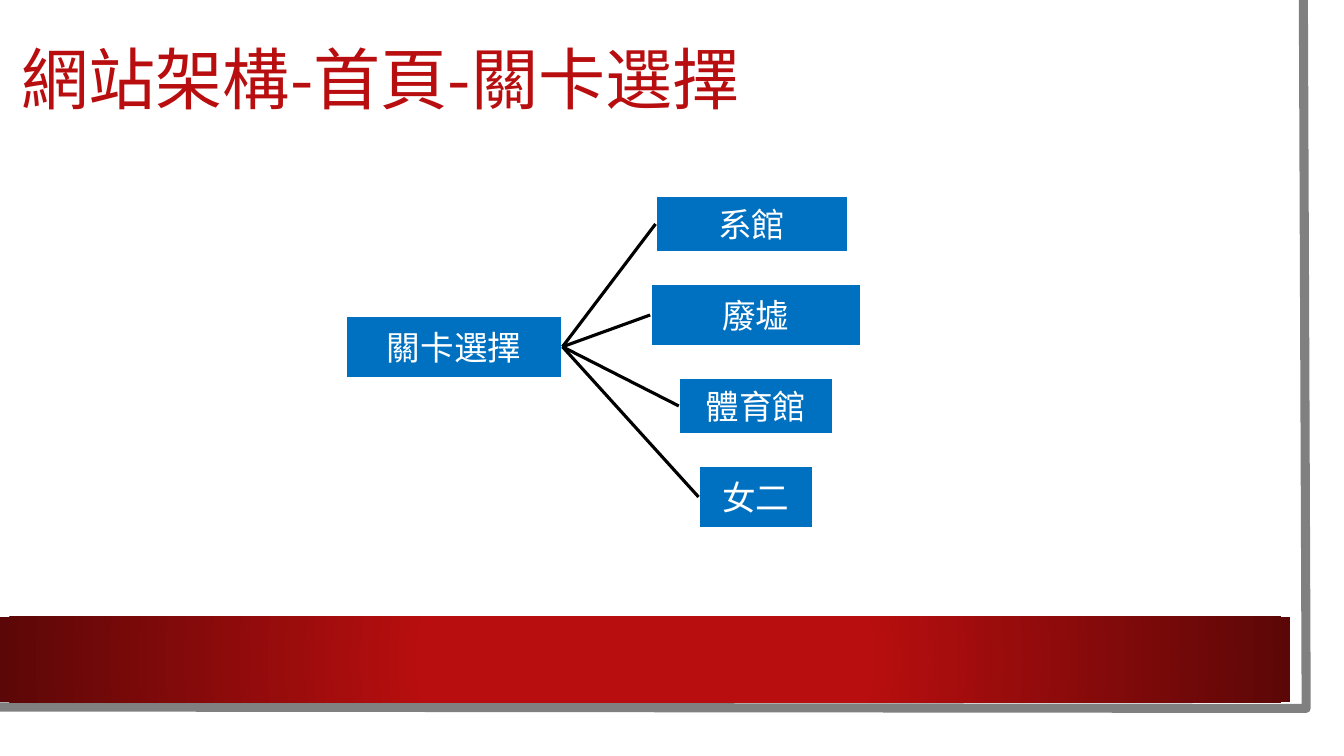
from lxml import etree
from pptx import Presentation
from pptx import util as u
from pptx.dml.color import RGBColor
from pptx.enum import shapes, text
from pptx.oxml import parse_xml
from pptx.oxml.ns import nsdecls, qn

LEFT_SITE, RIGHT_SITE = 1, 3


def colour(value):
    """Turn a hex string into a colour."""
    return RGBColor.from_string(value)


class SiteMap:
    """Holds the style and the current slide, and draws each kind of element."""

    font = "Noto Sans CJK SC"
    red, dark_red = "B80E0F", "5C0707"
    blue, white, grey, black = "0070C0", "FFFFFF", "808080", "000000"

    def __init__(self, page):
        """Keep the slide to draw on."""
        self.page = page

    def label(self, frame, words, size, ink, align):
        """Fill a text frame with one styled paragraph."""
        frame.text = words
        frame.word_wrap = True
        frame.auto_size = text.MSO_AUTO_SIZE.NONE
        frame.vertical_anchor = text.MSO_ANCHOR.MIDDLE
        para = frame.paragraphs[0]
        para.alignment = align
        for span in para.runs:
            span.font.size = u.Pt(size)
            span.font.color.rgb = colour(ink)
            span.font.name = self.font
            asian = etree.SubElement(span.font._element, qn("a:ea"))
            asian.set("typeface", self.font)
        return para

    def title(self, words, left, top, width, height):
        """Place the title above the backdrop."""
        box = self.page.shapes.title
        box.left, box.top = u.Pt(left), u.Pt(top)
        box.width, box.height = u.Pt(width), u.Pt(height)
        para = self.label(box.text_frame, words, 48, self.red, text.PP_ALIGN.LEFT)
        para.line_spacing = 0.9
        box.element.getparent().append(box.element)

    def block(self, left, top, width, height, fill,
              kind=shapes.MSO_SHAPE.RECTANGLE):
        """Add a plain filled shape without outline."""
        box = self.page.shapes.add_shape(
            kind, u.Pt(left), u.Pt(top), u.Pt(width), u.Pt(height))
        box.shadow.inherit = False
        box.fill.solid()
        box.fill.fore_color.rgb = colour(fill)
        box.line.fill.background()
        return box

    def band(self, left, top, width, height):
        """Add a band that darkens from its centre to its ends."""
        box = self.block(left, top, width, height, self.red)
        solid = box.element.spPr.find(qn("a:solidFill"))
        glow = parse_xml(
            f'<a:gradFill {nsdecls("a")} rotWithShape="1"><a:gsLst>'
            f'<a:gs pos="34000"><a:srgbClr val="{self.red}"/></a:gs>'
            f'<a:gs pos="100000"><a:srgbClr val="{self.dark_red}"/></a:gs>'
            '</a:gsLst><a:path path="circle">'
            '<a:fillToRect l="50000" t="50000" r="50000" b="50000"/>'
            '</a:path></a:gradFill>')
        box.element.spPr.replace(solid, glow)

    def edge(self, points, weight):
        """Draw an open outline through the points."""
        start, *rest = points
        builder = self.page.shapes.build_freeform(*start, scale=u.Pt(1))
        builder.add_line_segments(rest, close=False)
        outline = builder.convert_to_shape()
        outline.shadow.inherit = False
        outline.fill.background()
        outline.line.color.rgb = colour(self.grey)
        outline.line.width = u.Pt(weight)

    def node(self, words, centre, middle, width, height):
        """Add a labelled process box around a centre point."""
        box = self.block(centre - width / 2, middle - height / 2, width, height,
                         self.blue, shapes.MSO_SHAPE.FLOWCHART_PROCESS)
        box.line.color.rgb = colour(self.white)
        box.line.width = u.Pt(2)
        self.label(box.text_frame, words, 24, self.white, text.PP_ALIGN.CENTER)
        return box

    def link(self, parent, child):
        """Join the right side of one box to the left side of another."""
        line = self.page.shapes.add_connector(
            shapes.MSO_CONNECTOR.STRAIGHT, 0, 0, 0, 0)
        line.begin_connect(parent, RIGHT_SITE)
        line.end_connect(child, LEFT_SITE)
        line.line.color.rgb = colour(self.black)
        line.line.width = u.Pt(2.25)
        etree.SubElement(line._element.spPr, qn("a:effectLst"))


def main():
    """Build the site map slide."""
    deck = Presentation()
    deck.slide_width, deck.slide_height = u.Pt(960), u.Pt(540)
    site = SiteMap(deck.slides.add_slide(deck.slide_layouts[5]))

    site.block(0, 0, 943, 523.5, site.white)
    site.edge([(931, 0), (933, 505.5), (-2, 504.7)], 6.5)
    site.band(0, 440.6, 921.6, 61.2)
    site.title("網站架構-首頁-關卡選擇", 8, 13.7, 818.6, 90.7)

    root = site.node("關卡選擇", 324.4, 247.7, 154.8, 44.6)
    levels = [("系館", 537, 137.5, 40), ("廢墟", 540, 151.2, 44.6),
              ("體育館", 540, 110.2, 40), ("女二", 540, 82, 44.6)]
    for row, (name, centre, width, height) in enumerate(levels):
        level = site.node(name, centre, 160 + 65 * row, width, height)
        site.link(root, level)

    deck.save("out.pptx")


if __name__ == "__main__":
    main()
